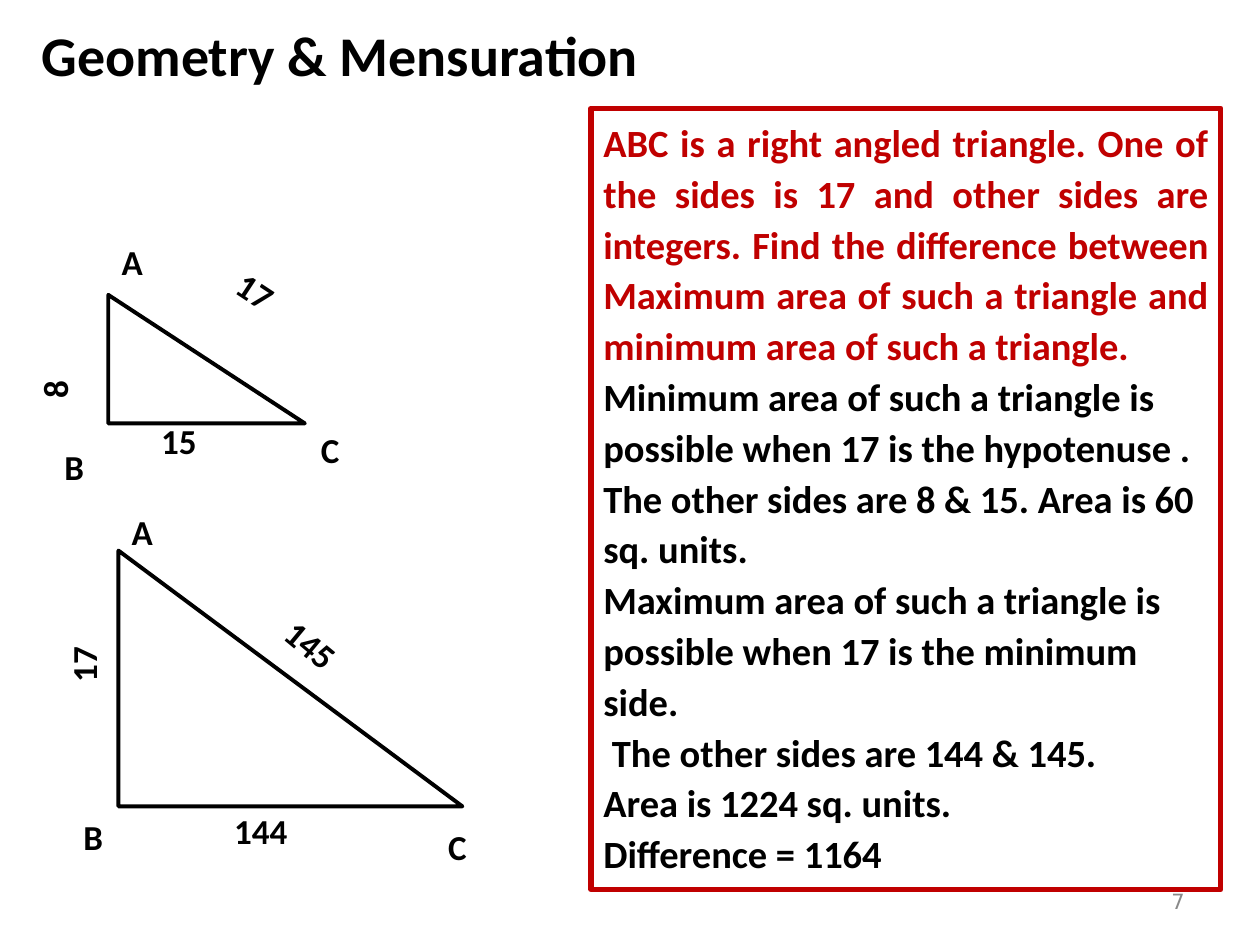
import pptx
import pptx.util
import pptx.dml.color
import pptx.enum.shapes
import pptx.enum.text

SHAPE = pptx.enum.shapes.MSO_SHAPE
ALIGN = pptx.enum.text.PP_ALIGN
ANCHOR = pptx.enum.text.MSO_ANCHOR

COLORS = {"ink": "000000", "red": "C00000", "grey": "898989"}

QUESTION = (
    "ABC is a right angled triangle. One of the sides is 17 and other sides are integers. "
    "Find the difference between Maximum area of such a triangle and minimum area of such a triangle."
)
SOLUTION = [
    "Minimum area of such a triangle is possible when 17 is the hypotenuse .",
    "The other sides are 8 & 15. Area is 60 sq. units.",
    "Maximum area of such a triangle is possible when 17 is the minimum side.",
    " The other sides are 144 & 145.",
    "Area is 1224 sq. units.",
    "Difference = 1164",
]

SMALL_CORNERS = [("A", 6.2, 17.3, 0), ("B", 1.6, 33.6, 0), ("C", 21.9, 32.2, 0)]
SMALL_SIDES = [("17", 17.8, 21.6, 33.3), ("15", 11.7, 33.5, 0), ("8", 1.8, 29.4, 270)]
LARGE_CORNERS = [("A", 7, 39.1, 0), ("B", 3.1, 63.3, 0), ("C", 32, 64.1, 0)]
LARGE_SIDES = [("17", 2.3, 49.3, 270), ("144", 16.4, 62.5, 0), ("145", 20.4, 47.7, 39.7)]


class Deck:
    COLS, ROWS = 100, 75
    FONT = "Calibri"

    def __init__(self, prs):
        self.prs = prs
        self.s = prs.slides.add_slide(prs.slide_layouts[6])

    def box(self, x, y, w, h):
        col = self.prs.slide_width / self.COLS
        row = self.prs.slide_height / self.ROWS
        return [round(v) for v in (x * col, y * row, w * col, h * row)]

    def color(self, name):
        return pptx.dml.color.RGBColor.from_string(COLORS[name])

    def style(self, p, size, color="ink", align=ALIGN.CENTER, bold=True, font=FONT):
        p.alignment = align
        for r in p.runs:
            r.font.name = font
            r.font.size = pptx.util.Pt(size)
            r.font.bold = bold
            r.font.color.rgb = self.color(color)

    def text(self, text, x, y, w, h, size, rotation=0, **look):
        sp = self.s.shapes.add_textbox(*self.box(x, y, w, h))
        sp.rotation = rotation
        tf = sp.text_frame
        tf.word_wrap = True
        tf.vertical_anchor = ANCHOR.MIDDLE
        tf.text = text
        self.style(tf.paragraphs[0], size, **look)

    def outline(self, kind, x, y, w, h, color, width):
        sp = self.s.shapes.add_shape(kind, *self.box(x, y, w, h))
        sp.shadow.inherit = False
        sp.fill.background()
        sp.line.color.rgb = self.color(color)
        sp.line.width = pptx.util.Pt(width)
        return sp

    def panel(self, question, solution, x, y, w, h):
        tf = self.outline(SHAPE.RECTANGLE, x, y, w, h, "red", 3).text_frame
        tf.word_wrap = True
        tf.vertical_anchor = ANCHOR.TOP
        tf.text = "\n".join([question] + solution)
        for p in tf.paragraphs:
            p.line_spacing = 1.1
            self.style(p, 22, align=ALIGN.LEFT)
        self.style(tf.paragraphs[0], 22, "red", ALIGN.JUSTIFY)

    def triangle(self, x, y, w, h):
        self.outline(SHAPE.RIGHT_TRIANGLE, x, y, w, h, "ink", 2.25)

    def labels(self, items, w, h):
        for text, x, y, rotation in items:
            self.text(text, x, y, w, h, 20, rotation)


def main():
    prs = pptx.Presentation()
    prs.slide_width = pptx.util.Inches(10)
    prs.slide_height = pptx.util.Inches(7.5)
    deck = Deck(prs)

    deck.text("Geometry & Mensuration", 1.6, 0.8, 50.8, 7, 32)
    deck.panel(QUESTION, SOLUTION, 46.9, 8.6, 50, 62)
    deck.text("7", 71.7, 69.5, 23.3, 4, 12, color="grey", align=ALIGN.RIGHT,
              bold=False, font="DejaVu Sans")

    deck.triangle(8.6, 23.4, 15.6, 10.2)
    deck.labels(SMALL_CORNERS, 8.6, 6.9)
    deck.labels(SMALL_SIDES, 5, 3)

    deck.triangle(9.4, 43.7, 27.3, 20.3)
    deck.labels(LARGE_CORNERS, 8.6, 6.2)
    deck.labels(LARGE_SIDES, 8.6, 6.9)

    prs.save("out.pptx")


if __name__ == "__main__":
    main()
